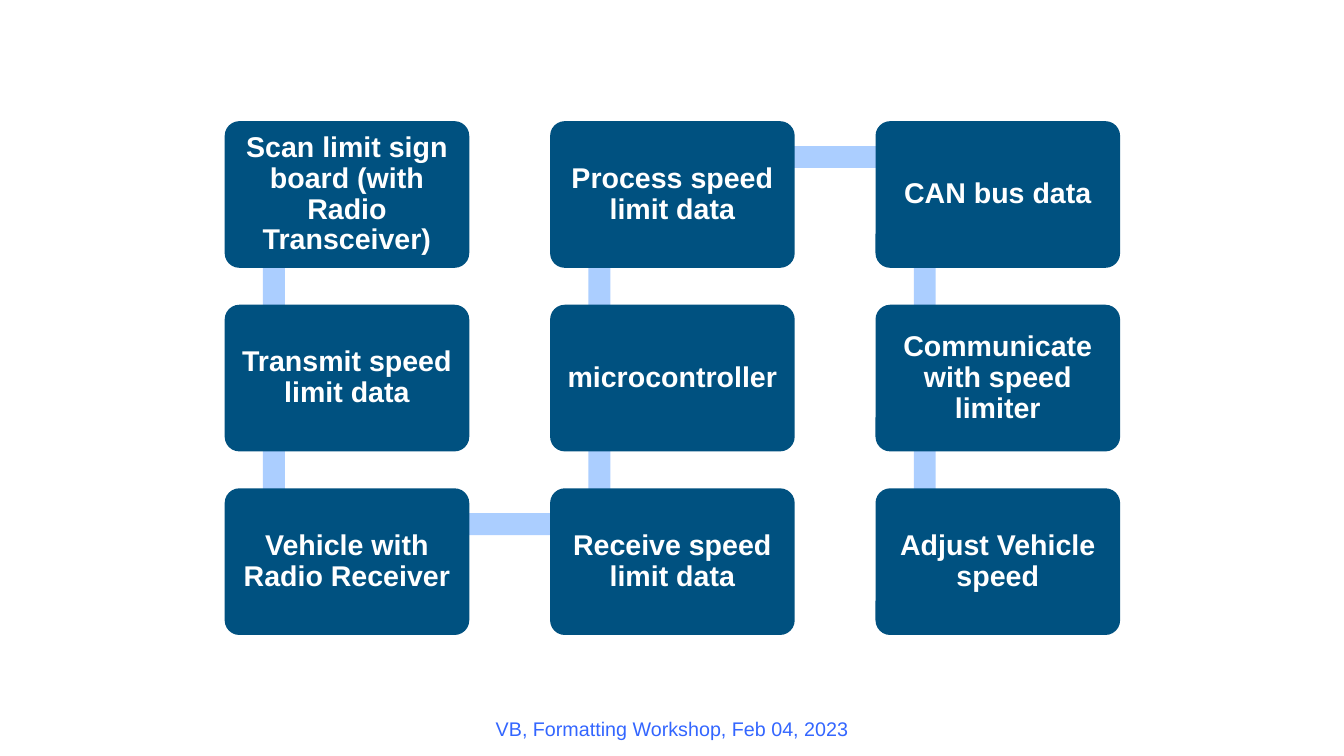
from itertools import pairwise
from pptx import Presentation
from pptx.dml.color import RGBColor
from pptx.enum.shapes import MSO_SHAPE as Kind
from pptx.enum.text import MSO_ANCHOR as Anchor, PP_ALIGN as Align
from pptx.util import Pt

STEPS = [
    "Scan limit sign board (with Radio Transceiver)",
    "Transmit speed limit data",
    "Vehicle with Radio Receiver",
    "Receive speed limit data",
    "microcontroller",
    "Process speed limit data",
    "CAN bus data",
    "Communicate with speed limiter",
    "Adjust Vehicle speed",
]
FOOTER = "VB, Formatting Workshop, Feb 04, 2023"

NAVY = RGBColor(0x00, 0x51, 0x80)
PALE = RGBColor(0xAB, 0xCE, 0xFF)
BLUE = RGBColor(0x33, 0x66, 0xFF)
WHITE = RGBColor(0xFF, 0xFF, 0xFF)

ROWS = 3
LEFT, TOP = 228.2, 123.1
WIDE, HIGH = 248.4, 149
STEP_X, STEP_Y = 330.5, 186.5
BAND = 22.3
BAND_X, BAND_Y = 50, 36.4


def place(index):
    col, row = divmod(index, ROWS)
    if col % 2:
        row = ROWS - 1 - row
    return LEFT + col * STEP_X, TOP + row * STEP_Y


def add_block(shapes, kind, box, color):
    block = shapes.add_shape(kind, *map(Pt, box))
    block.shadow.inherit = False
    block.fill.solid()
    block.fill.fore_color.rgb = color
    block.line.fill.background()
    return block


def add_band(shapes, start, end):
    (x1, y1), (x2, y2) = start, end
    left, top = min(x1, x2) + BAND_X, min(y1, y2) + BAND_Y
    if x1 == x2:
        box = left - BAND / 2, top, BAND, abs(y2 - y1)
    else:
        box = left, top - BAND / 2, abs(x2 - x1), BAND
    add_block(shapes, Kind.RECTANGLE, box, PALE)


def set_text(shape, text, inset, size, color, bold=False):
    frame = shape.text_frame
    frame.word_wrap = True
    for side in ("left", "top", "right", "bottom"):
        setattr(frame, f"margin_{side}", Pt(inset))
    para = frame.paragraphs[0]
    para.alignment = Align.CENTER
    run = para.add_run()
    run.text = text
    style = {"name": "Arial", "size": Pt(size), "bold": bold}
    for key, value in style.items():
        setattr(run.font, key, value)
    run.font.color.rgb = color
    return frame


def main():
    deck = Presentation()
    deck.slide_width, deck.slide_height = Pt(1365), Pt(768)
    shapes = deck.slides.add_slide(deck.slide_layouts[6]).shapes

    spots = [place(i) for i in range(len(STEPS))]
    for start, end in pairwise(spots):
        add_band(shapes, start, end)

    for text, spot in zip(STEPS, spots):
        card = add_block(shapes, Kind.ROUNDED_RECTANGLE, (*spot, WIDE, HIGH), NAVY)
        card.adjustments[0] = 0.1
        frame = set_text(card, text, 8.6, 29, WHITE, True)
        frame.vertical_anchor = Anchor.MIDDLE
        frame.paragraphs[0].line_spacing = 0.9

    foot = shapes.add_textbox(Pt(139.7), Pt(722.9), Pt(1085.8), Pt(34.6))
    set_text(foot, FOOTER, 5, 20, BLUE)

    deck.save("out.pptx")


if __name__ == "__main__":
    main()
